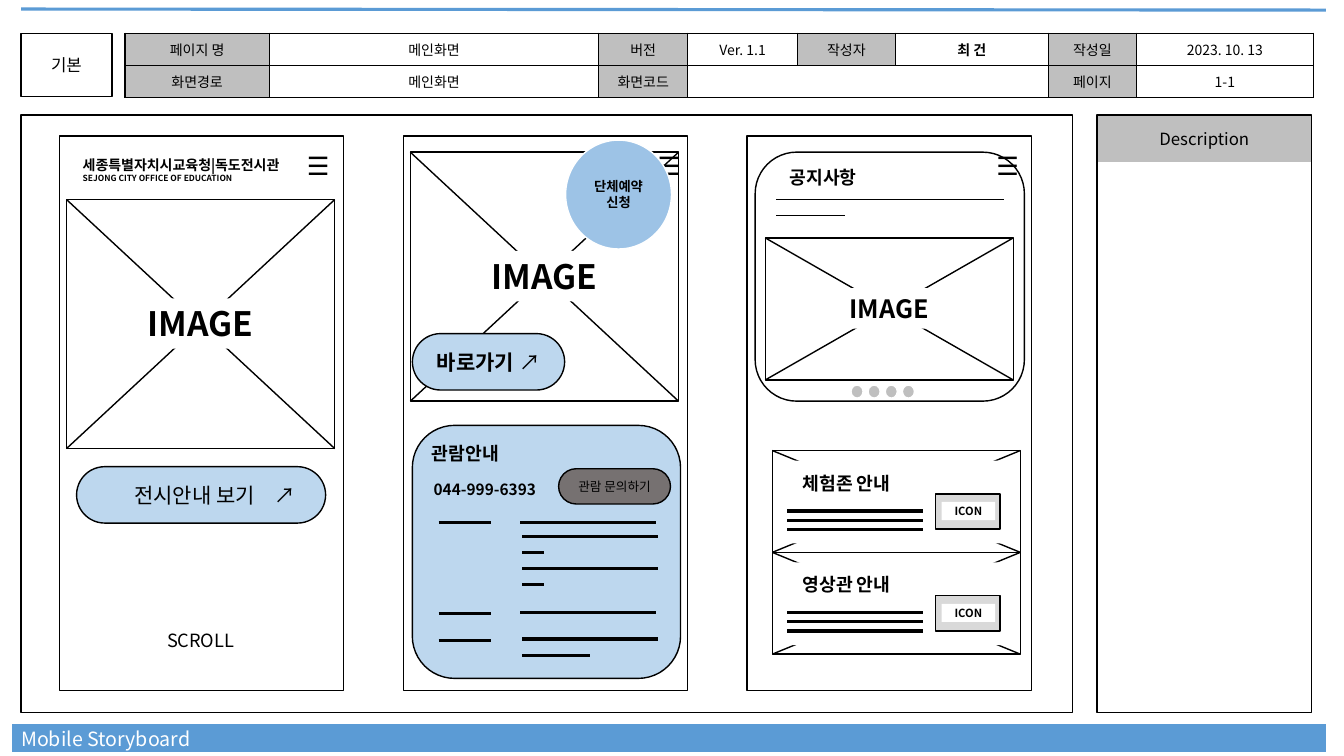
from lxml import etree
from pptx import Presentation
from pptx.dml.color import RGBColor
from pptx.enum.shapes import MSO_CONNECTOR, MSO_SHAPE
from pptx.enum.text import MSO_ANCHOR, PP_ALIGN
from pptx.oxml.ns import qn
from pptx.util import Emu, Pt

PX = 9144  # 100 px to the inch
FONT = "Noto Sans CJK KR"
BLACK = RGBColor(0x00, 0x00, 0x00)
WHITE = RGBColor(0xFF, 0xFF, 0xFF)
BLUE = RGBColor(0x5B, 0x9B, 0xD5)
MID_BLUE = RGBColor(0x9D, 0xC3, 0xE6)
PALE_BLUE = RGBColor(0xBD, 0xD7, 0xEE)
GRAY = RGBColor(0xBF, 0xBF, 0xBF)
PALE_GRAY = RGBColor(0xD9, 0xD9, 0xD9)
DARK_GRAY = RGBColor(0x76, 0x71, 0x71)

# Content
HEADER_ROWS = [
    ["페이지 명", "메인화면", "버전", "Ver. 1.1", "작성자", "최 건", "작성일", "2023. 10. 13"],
    ["화면경로", "메인화면", "화면코드", "", "", "", "페이지", "1-1"],
]
HEADER_EDGES = [124, 267, 594, 682, 791, 888, 1040, 1127, 1303]
HEADER_TOP, HEADER_ROW_HEIGHT = 33, 32
AUTHOR = "최 건"
ORGANISATION = "세종특별자치시교육청|독도전시관"
ORGANISATION_ENGLISH = "SEJONG CITY OFFICE OF EDUCATION"
CARD_TITLES = ["체험존 안내", "영상관 안내"]
# Placeholder lines of the visiting guide: left, right, y
GUIDE_LINES = [
    (435, 487, 518), (435, 487, 609), (435, 487, 635),
    (516, 651, 518), (518, 653, 532), (518, 540, 548), (518, 653, 564),
    (518, 540, 580), (516, 651, 608), (518, 653, 634), (518, 585, 650),
]
SCREEN_LEFT, SCREEN_STEP = 59, 341
CARD_LEFT, CARD_TOP, CARD_WIDTH, CARD_HEIGHT = 766, 447, 246, 101

presentation = Presentation()
presentation.slide_width, presentation.slide_height = Emu(1333 * PX), Emu(750 * PX)
slide = presentation.slides.add_slide(presentation.slide_layouts[6])


def px(*lengths):
    return [Emu(length * PX) for length in lengths]


def write(frame, text, *, size=10, bold=False, color=BLACK, align=PP_ALIGN.CENTER,
          inset=0, tab=None):
    """Fill a frame; text is a string or a list of paragraphs,
    each a list of (text, overrides) runs."""
    frame.word_wrap = True
    frame.vertical_anchor = MSO_ANCHOR.MIDDLE
    frame.margin_left, frame.margin_right, frame.margin_top, frame.margin_bottom = px(
        inset, 0, 0, 0)
    paragraphs = [[(text, {})]] if isinstance(text, str) else text
    for index, runs in enumerate(paragraphs):
        paragraph = frame.paragraphs[0] if index == 0 else frame.add_paragraph()
        paragraph.alignment = align
        if tab:
            tabs = etree.SubElement(paragraph._p.get_or_add_pPr(), qn("a:tabLst"))
            etree.SubElement(tabs, qn("a:tab"), pos=str(tab * PX), algn="l")
        for words, overrides in runs:
            run = paragraph.add_run()
            run.text = words
            run.font.size = Pt(overrides.get("size", size))
            run.font.bold = overrides.get("bold", bold)
            run.font.color.rgb = color
            run.font.name = FONT
            etree.SubElement(run._r.get_or_add_rPr(), qn("a:ea"), typeface=FONT)


def label(text, left, top, width, height, **style):
    box = slide.shapes.add_textbox(*px(left, top, width, height))
    write(box.text_frame, text, **style)


def block(left, top, width, height, *, kind=MSO_SHAPE.RECTANGLE, fill=WHITE,
          line=BLACK, roundness=None, text=None, **style):
    shape = slide.shapes.add_shape(kind, *px(left, top, width, height))
    shape.shadow.inherit = False
    if roundness is not None:
        shape.adjustments[0] = roundness
    if fill is None:
        shape.fill.background()
    else:
        shape.fill.solid()
        shape.fill.fore_color.rgb = fill
    if line is None:
        shape.line.fill.background()
    else:
        shape.line.color.rgb = line
        shape.line.width = Pt(1)
    if text:
        write(shape.text_frame, text, **style)


def rule(x1, y1, x2, y2, weight=1, color=BLACK):
    connector = slide.shapes.add_connector(MSO_CONNECTOR.STRAIGHT, *px(x1, y1, x2, y2))
    connector.line.color.rgb = color
    connector.line.width = Pt(weight)
    etree.SubElement(connector._element.spPr, qn("a:effectLst"))


def crossed_box(left, top, width, height):
    block(left, top, width, height)
    rule(left, top, left + width, top + height)
    rule(left, top + height, left + width, top)


def image_area(left, top, width, height, mask_width, mask_height, size):
    crossed_box(left, top, width, height)
    block(left + (width - mask_width) // 2, top + (height - mask_height) // 2,
          mask_width, mask_height, line=None, text="IMAGE", size=size, bold=True)


def pill(left, top, width, height, text, fill=PALE_BLUE, **style):
    block(left, top, width, height, kind=MSO_SHAPE.ROUNDED_RECTANGLE, roundness=0.5,
          fill=fill, text=text, **style)


def menu(left):
    label("☰", left, 144, 33, 40, size=18)


def header_table():
    left, right = HEADER_EDGES[0], HEADER_EDGES[-1]
    table = slide.shapes.add_table(
        2, len(HEADER_EDGES) - 1,
        *px(left, HEADER_TOP, right - left, 2 * HEADER_ROW_HEIGHT)).table
    table.first_row = table.horz_banding = False
    for column, start, end in zip(table.columns, HEADER_EDGES, HEADER_EDGES[1:]):
        column.width = Emu((end - start) * PX)
    for r, row in enumerate(HEADER_ROWS):
        table.rows[r].height = Emu(HEADER_ROW_HEIGHT * PX)
        for c, text in enumerate(row):
            cell = table.cell(r, c)
            if text:
                write(cell.text_frame, text, bold=text == AUTHOR)
            else:
                cell.text_frame.paragraphs[0]._p.get_or_add_endParaRPr().set("sz", "1000")
            cell.vertical_anchor = MSO_ANCHOR.MIDDLE
            cell.margin_left, cell.margin_right, cell.margin_top, cell.margin_bottom = px(
                0, 0, 0, 0)
            properties = cell._tc.get_or_add_tcPr()
            for side in ("lnL", "lnR", "lnT", "lnB"):
                border = etree.SubElement(properties, qn(f"a:{side}"), w=str(Pt(1)))
                paint = etree.SubElement(border, qn("a:solidFill"))
                etree.SubElement(paint, qn("a:srgbClr"), val=str(BLACK))
            cell.fill.solid()
            cell.fill.fore_color.rgb = GRAY if text and c % 2 == 0 else WHITE
    table.cell(1, 3).merge(table.cell(1, 5))


def intro_screen():
    image_area(66, 198, 266, 247, 138, 50, 24)
    label([[(ORGANISATION, {})], [(ORGANISATION_ENGLISH, {"size": 6})]],
          82, 150, 232, 37, bold=True, align=PP_ALIGN.LEFT)
    menu(299)
    pill(76, 463, 247, 56, "전시안내 보기\t↗", size=15, align=PP_ALIGN.LEFT,
         inset=49, tab=139)
    label("SCROLL", 76, 619, 246, 32, size=13)


def visit_screen():
    image_area(407, 151, 266, 247, 138, 50, 24)
    menu(647)
    block(561, 139, 105, 108, kind=MSO_SHAPE.OVAL, fill=MID_BLUE, line=WHITE,
          text=[[("단체예약", {})], [("신청", {})]], size=9.5, bold=True)
    pill(409, 331, 151, 56, [[("바로가기 ", {}), ("↗", {"bold": False})]],
         size=15, bold=True)
    block(409, 422, 266, 251, kind=MSO_SHAPE.ROUNDED_RECTANGLE, fill=PALE_BLUE)
    label("관람안내", 404, 434, 115, 32, size=13, bold=True)
    for start, end, y in GUIDE_LINES:
        rule(start, y, end, y, 2.25)
    pill(554, 465, 111, 35, "관람 문의하기", fill=DARK_GRAY, size=9)
    label("044-999-6393", 418, 471, 126, 29, size=11, bold=True)


def notice_screen():
    block(749, 151, 267, 247, kind=MSO_SHAPE.FLOWCHART_ALTERNATE_PROCESS)
    image_area(759, 236, 246, 141, 136, 40, 18)
    label("공지사항", 759, 160, 115, 32, size=13, bold=True)
    rule(770, 198, 996, 198, 0.5)
    rule(770, 214, 838, 214, 0.5)
    for dot in range(4):
        block(844 + 17 * dot, 382, 12, 13, kind=MSO_SHAPE.OVAL, fill=GRAY, line=WHITE)
    menu(983)
    for index, title in enumerate(CARD_TITLES):
        top = CARD_TOP + CARD_HEIGHT * index
        crossed_box(CARD_LEFT, top, CARD_WIDTH, CARD_HEIGHT)
        block(CARD_LEFT + 6, top + 10, 233, 82, line=None)
        label(title, CARD_LEFT + 14, top + 17, 119, 30, size=13, bold=True)
        block(CARD_LEFT + 162, top + 43, 64, 35, fill=PALE_GRAY)
        block(CARD_LEFT + 168, top + 51, 53, 18, line=None, text="ICON", size=8, bold=True)
        for offset in (60, 69, 78):
            rule(CARD_LEFT + 15, top + offset, CARD_LEFT + 149, top + offset, 2.25)


block(21, 114, 1043, 593)
block(21, 33, 90, 63, text="기본", size=12)
rule(21, 9, 1315, 10, 2.25, BLUE)
rule(12, 732, 1315, 732, 20, BLUE)
label("Mobile Storyboard", 21, 716, 251, 34, size=14, color=WHITE, align=PP_ALIGN.LEFT)
block(1087, 114, 215, 47, fill=GRAY, line=WHITE, text="Description", size=12)
block(1088, 114, 213, 593, fill=None)
header_table()
for number, draw_screen in enumerate([intro_screen, visit_screen, notice_screen]):
    block(SCREEN_LEFT + SCREEN_STEP * number, 135, 282, 550)
    draw_screen()
presentation.save("out.pptx")
